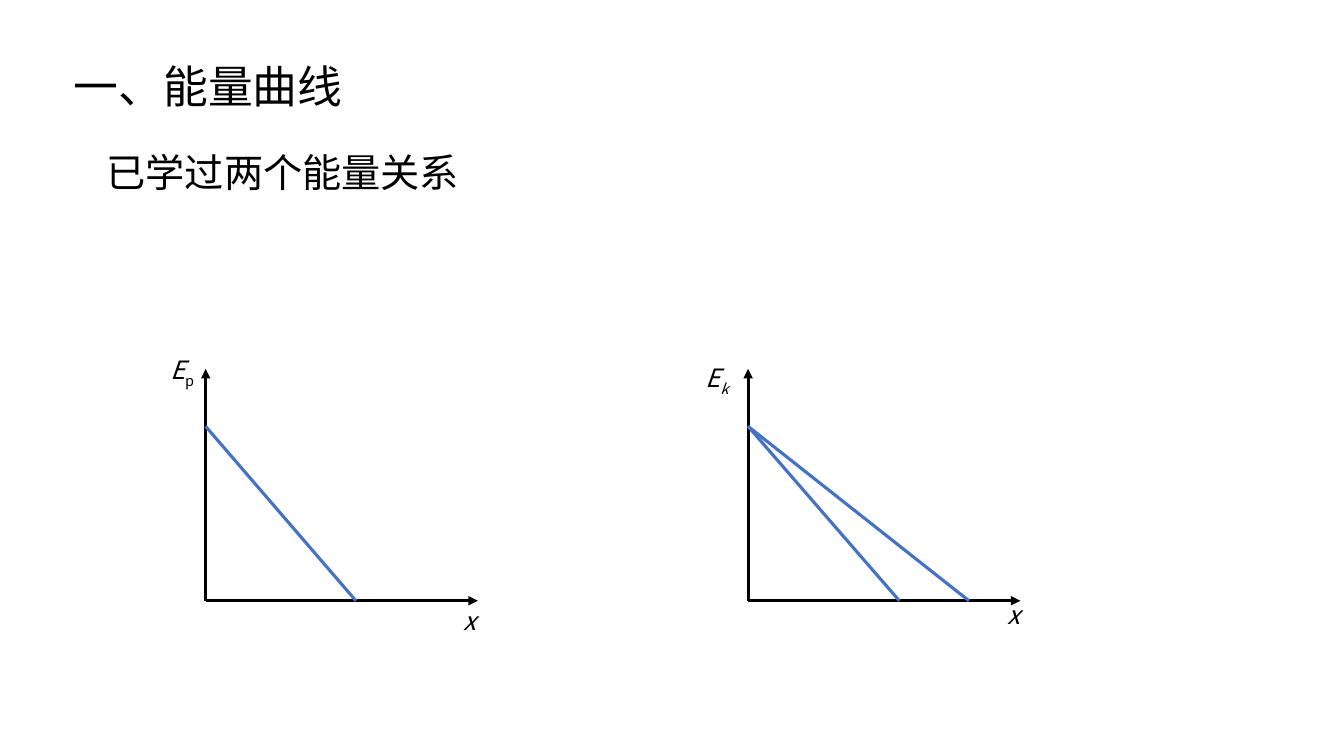
import pptx
import pptx.dml.color
import pptx.enum.dml
import pptx.enum.shapes
import pptx.enum.text
import pptx.oxml
import pptx.oxml.ns
import pptx.util

FONT = "Noto Sans CJK SC"
BLACK = "000000"
BLUE = "4472C4"
Inches = pptx.util.Inches


def color(value):
    """Turn a hex string into a colour."""
    return pptx.dml.color.RGBColor.from_string(value)


def add_element(parent, tag, **attributes):
    """Append a DrawingML element with the given attributes."""
    element = pptx.oxml.parse_xml(f"<a:{tag} {pptx.oxml.ns.nsdecls('a')}/>")
    for name, value in attributes.items():
        element.set(name, value)
    parent.append(element)


def add_span(para, text, size=18, italic=False, baseline=0):
    """Add a formatted run to a paragraph."""
    span = para.add_run()
    span.text = text
    span.font.size = pptx.util.Pt(size)
    span.font.italic = italic
    span.font.color.rgb = color(BLACK)
    span.font.name = FONT
    properties = span._r.get_or_add_rPr()
    add_element(properties, "ea", typeface=FONT)
    if baseline:
        properties.set("baseline", str(baseline))


def format_box(box, left, top, width, height):
    """Place a text shape and return its first paragraph."""
    box.left, box.top = Inches(left), Inches(top)
    box.width, box.height = Inches(width), Inches(height)
    frame = box.text_frame
    frame.word_wrap = True
    frame.auto_size = pptx.enum.text.MSO_AUTO_SIZE.SHAPE_TO_FIT_TEXT
    frame.vertical_anchor = pptx.enum.text.MSO_ANCHOR.TOP
    para = frame.paragraphs[0]
    para.alignment = pptx.enum.text.PP_ALIGN.LEFT
    return para


def add_text_box(page, left, top, width, height):
    """Add an empty text box and return its first paragraph."""
    box = page.shapes.add_textbox(0, 0, 0, 0)
    return format_box(box, left, top, width, height)


def add_line(page, start, end, line_color, arrow=False):
    """Draw a straight line between two points."""
    line = page.shapes.add_connector(
        pptx.enum.shapes.MSO_CONNECTOR.STRAIGHT,
        *(Inches(value) for value in (*start, *end)))
    line.line.color.rgb = color(line_color)
    line.line.width = pptx.util.Pt(2.25)
    if arrow:
        add_element(line.line._get_or_add_ln(), "tailEnd", type="triangle")
    add_element(line._element.spPr, "effectLst")


def add_heading(page, left, top):
    """Fill the title and the line of text below it."""
    title = format_box(page.shapes.title, left, top, 4.19, 0.64)
    add_span(title, "一、能量曲线", size=32)
    subtitle = add_text_box(page, left + 0.33, top + 0.89, 3.76, 0.57)
    add_span(subtitle, "已学过两个能量关系", size=28)


def add_graph(page, left, top, subscript, upright, y_label, x_label, reaches):
    """Draw axes, labels and falling energy lines from the top of the axis."""
    width, height, drop = 2.7, 2.3, 0.57
    bottom = top + height
    add_line(page, (left, bottom), (left, top), BLACK, arrow=True)
    add_line(page, (left, bottom), (left + width, bottom), BLACK, arrow=True)
    energy = add_text_box(page, left + y_label[0], top + y_label[1], 1.05, 0.4)
    add_span(energy, "E", italic=True)
    add_span(energy, subscript, italic=not upright, baseline=-25000)
    distance = add_text_box(
        page, left + x_label[0], bottom + x_label[1], 1.05, 0.4)
    add_span(distance, "x", italic=True)
    for reach in reaches:
        add_line(page, (left, top + drop), (left + reach, bottom), BLUE)


def main():
    """Build and save the slide."""
    deck = pptx.Presentation()
    deck.slide_width, deck.slide_height = Inches(13.33), Inches(7.5)
    page = deck.slides.add_slide(deck.slide_layouts[5])
    add_heading(page, 0.63, 0.53)
    add_graph(page, 2.04, 3.66, "p", True, (-0.45, -0.19), (2.46, 0), [1.49])
    add_graph(page, 7.42, 3.66, "k", False, (-0.52, -0.11), (2.47, -0.06),
              [1.5, 2.19])
    deck.save("out.pptx")


if __name__ == "__main__":
    main()
